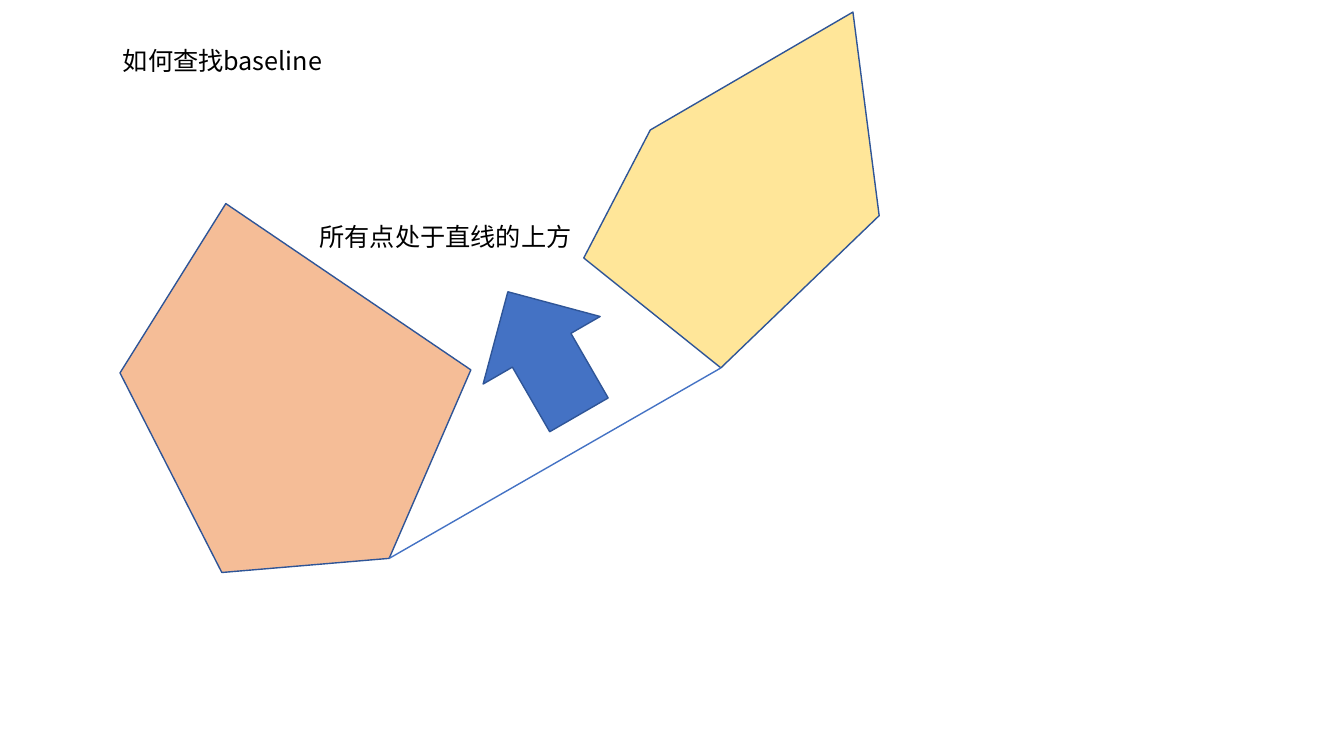
from lxml.etree import SubElement
from pptx import Presentation
from pptx.dml.color import RGBColor
from pptx.enum.shapes import MSO_CONNECTOR, MSO_SHAPE
from pptx.enum.text import MSO_AUTO_SIZE
from pptx.oxml.ns import qn
from pptx.util import Inches, Pt

FONT = "Noto Sans CJK SC"
OUTLINE = "2F5597"
BLUE = "4472C4"


def color(hex_string):
    return RGBColor.from_string(hex_string)


def paint(shape, fill):
    shape.shadow.inherit = False
    shape.fill.solid()
    shape.fill.fore_color.rgb = color(fill)
    shape.line.color.rgb = color(OUTLINE)
    shape.line.width = Pt(1)


presentation = Presentation()
presentation.slide_width = Inches(13.33)
presentation.slide_height = Inches(7.5)
slide = presentation.slides.add_slide(presentation.slide_layouts[6])
shapes = slide.shapes

baseline_start = (7.15, 3.65)
baseline_end = (3.86, 5.54)
left_hull = [(2.24, 2.02), (1.19, 3.7), (2.2, 5.68), baseline_end, (4.67, 3.67)]
right_hull = [(6.45, 1.29), (5.79, 2.56), baseline_start, (8.72, 2.14), (8.46, 0.12)]

hulls = []
for points, fill in [(left_hull, "ED7D31"), (right_hull, "FFE699")]:
    corners = [(Inches(x), Inches(y)) for x, y in points]
    builder = shapes.build_freeform(*corners[0])
    builder.add_line_segments(corners[1:], close=True)
    hull = builder.convert_to_shape()
    paint(hull, fill)
    hulls.append(hull)

left_fill = hulls[0].fill._xPr.find(qn("a:solidFill"))
SubElement(left_fill[0], qn("a:alpha"), val="50000")

baseline = shapes.add_connector(
    MSO_CONNECTOR.STRAIGHT, *[Inches(value) for value in baseline_start + baseline_end]
)
baseline.line.color.rgb = color(BLUE)
baseline.line.width = Pt(1)
SubElement(baseline._element.spPr, qn("a:effectLst"))

arrow = shapes.add_shape(
    MSO_SHAPE.UP_ARROW, Inches(4.72), Inches(2.8), Inches(1.34), Inches(1.41)
)
arrow.rotation = 330
paint(arrow, BLUE)

for text, left, top in [
    ("如何查找baseline", 1.12, 0.4),
    ("所有点处于直线的上方", 3.07, 2.15),
]:
    label = shapes.add_textbox(Inches(left), Inches(top), Inches(4.44), Inches(0.4))
    label.text_frame.word_wrap = True
    label.text_frame.auto_size = MSO_AUTO_SIZE.SHAPE_TO_FIT_TEXT
    run = label.text_frame.paragraphs[0].add_run()
    run.text = text
    for name, value in {"size": Pt(18), "name": FONT}.items():
        setattr(run.font, name, value)
    run.font.color.rgb = color("000000")
    SubElement(run._r.get_or_add_rPr(), qn("a:ea"), typeface=FONT)

presentation.save("out.pptx")
